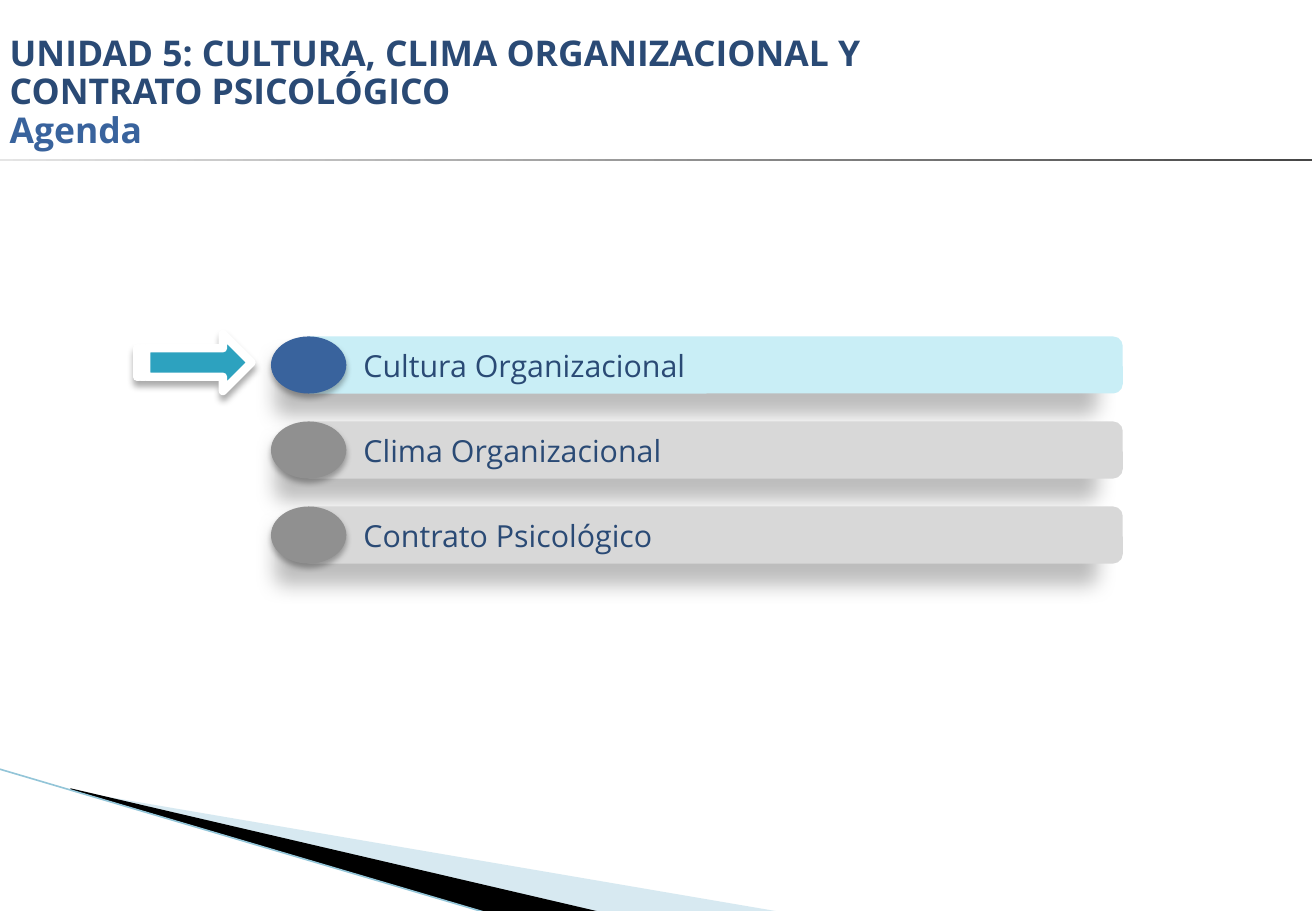
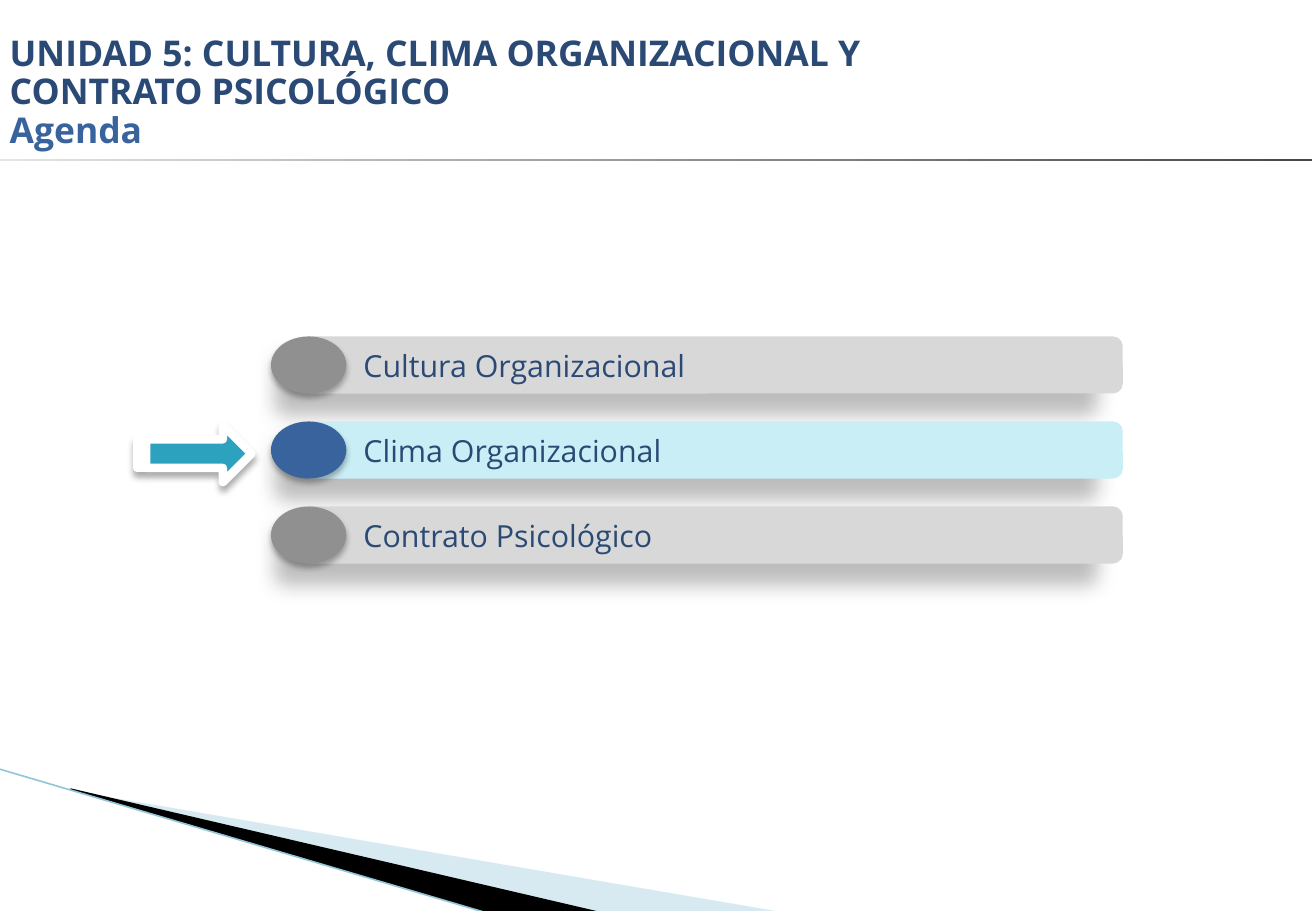
from lxml import etree
from pptx import Presentation
from pptx.dml.color import RGBColor
from pptx.enum.shapes import MSO_CONNECTOR, MSO_SHAPE
from pptx.enum.text import MSO_ANCHOR, MSO_AUTO_SIZE, PP_ALIGN
from pptx.oxml.ns import qn
from pptx.util import Inches, Pt

ROUND_RECT, OVAL, RECT = MSO_SHAPE.ROUNDED_RECTANGLE, MSO_SHAPE.OVAL, MSO_SHAPE.RECTANGLE
ARROW = MSO_SHAPE.STRIPED_RIGHT_ARROW
STRAIGHT = MSO_CONNECTOR.STRAIGHT
MIDDLE, LEFT, NO_FIT = MSO_ANCHOR.MIDDLE, PP_ALIGN.LEFT, MSO_AUTO_SIZE.NONE

# Content
UNIT = "UNIDAD 5: CULTURA, CLIMA ORGANIZACIONAL Y CONTRATO PSICOLÓGICO"
SECTION = "Agenda"
TOPICS = ["Cultura Organizacional", "Clima Organizacional", "Contrato Psicológico"]
SLIDES = [{"current": 0, "arrow_top": 2.75}, {"current": 1, "arrow_top": 3.5}]

# Style
FONT = "Open Sans"
NAVY, BLUE, TEAL, WHITE = "2A4A75", "39639D", "2DA2BF", "FFFFFF"
ACTIVE = {"bar": "C9EEF6", "dot": BLUE}
IDLE = {"bar": "D8D8D8", "dot": "909090"}
# Shadows: opacity %, blur pt, distance pt, direction in degrees
BAR_SHADOW, DOT_SHADOW, ARROW_SHADOW = (26, 11.8, 19.7, 141), (30, 3.5, 2.2, 90), (33, 4, 3, 90)
# Corner wedges: points, colour, opacity %
WEDGES = [
    ([(0.59, 6.51), (6.44, 7.51), (4.94, 7.51), (0.59, 6.5)], "9CCADC", 40),
    ([(0.58, 6.49), (4.95, 7.51), (4.03, 7.52), (0.58, 6.5)], "000000", 100),
]

# Agenda grid
ROW_TOP, ROW_STEP, ROW_H = 2.77, 0.7, 0.47
BAR_LEFT, BAR_W, DOT_LEFT, DOT_W = 2.47, 6.77, 2.23, 0.62


def rgb(color):
    return RGBColor.from_string(color)


def set_alpha(color_el, percent):
    etree.SubElement(color_el, qn("a:alpha")).set("val", str(percent * 1000))


def paint(sp, fill, line=None, line_width=0):
    sp.shadow.inherit = False
    sp.fill.solid()
    sp.fill.fore_color.rgb = rgb(fill)
    if line:
        sp.line.color.rgb = rgb(line)
        sp.line.width = Pt(line_width)
    else:
        sp.line.fill.background()


def cast_shadow(sp, opacity, blur, distance, angle):
    effects = sp._element.spPr.find(qn("a:effectLst"))
    shadow = etree.SubElement(effects, qn("a:outerShdw"), blurRad=str(Pt(blur)),
                              dist=str(Pt(distance)), dir=str(angle * 60000),
                              algn="ctr", rotWithShape="0")
    set_alpha(etree.SubElement(shadow, qn("a:srgbClr"), val="000000"), opacity)


def add_shape(slide, kind, left, top, width, height, fill, shadow, **line):
    sp = slide.shapes.add_shape(kind, Inches(left), Inches(top), Inches(width), Inches(height))
    paint(sp, fill, **line)
    cast_shadow(sp, *shadow)
    return sp


def write(p, text, size, color, bold=False, margin=0, indent=0, spacing=None):
    p.alignment = LEFT
    p.line_spacing = spacing
    pPr = p._p.get_or_add_pPr()
    pPr.set("marL", str(Inches(margin)))
    pPr.set("indent", str(Inches(indent)))
    r = p.add_run()
    r.text = text
    r.font.name, r.font.size, r.font.bold = FONT, Pt(size), bold
    r.font.color.rgb = rgb(color)


def set_frame(tf, left, top, right, bottom):
    tf.word_wrap, tf.auto_size, tf.vertical_anchor = True, NO_FIT, MIDDLE
    tf.margin_left, tf.margin_top = Inches(left), Inches(top)
    tf.margin_right, tf.margin_bottom = Inches(right), Inches(bottom)


def decorate_layout(layout, slide):
    """Draw the shared decoration and move it into the layout, behind its placeholders."""
    parts = []
    for points, color, opacity in WEDGES:
        corners = [(Inches(x), Inches(y)) for x, y in points]
        builder = slide.shapes.build_freeform(*corners[0])
        builder.add_line_segments(corners[1:], close=True)
        sp = builder.convert_to_shape()
        paint(sp, color)
        if opacity < 100:
            set_alpha(sp._element.spPr.find(qn("a:solidFill"))[0], opacity)
        parts.append(sp)

    edge = slide.shapes.add_connector(STRAIGHT, Inches(-0.01), Inches(6.33),
                                      Inches(4.02), Inches(7.52))
    edge.line.color.rgb = rgb("93C5D8")
    edge.line.width = Pt(0.95)
    etree.SubElement(edge._element.spPr, qn("a:effectLst"))
    parts.append(edge)

    rule = slide.shapes.add_shape(RECT, Inches(-0.03), Inches(1.31), Inches(10.83), Inches(0.02))
    rule.shadow.inherit = False
    rule.line.fill.background()
    rule.fill.gradient()
    rule.fill.gradient_angle = 0
    for stop, color in zip(rule.fill.gradient_stops, ("E5E5E5", "464646")):
        stop.color.rgb = rgb(color)
    parts.append(rule)

    for i, sp in enumerate(parts):
        sp._element.xpath(".//p:cNvPr")[0].set("id", str(100 + i))
        layout.shapes._spTree.insert(2 + i, sp._element)


def add_title(slide):
    title = slide.shapes.title
    title.left, title.top, title.width, title.height = 0, 0, Inches(7.56), Inches(1.3)
    tf = title.text_frame
    set_frame(tf, 0.08, 0.28, 0.08, 0.04)
    write(tf.paragraphs[0], UNIT, 21, NAVY, bold=True, spacing=0.9)
    write(tf.add_paragraph(), SECTION, 21, BLUE, bold=True, spacing=0.9,
          margin=0.78, indent=-0.78)


def add_agenda(slide, current, arrow_top):
    for i, topic in enumerate(TOPICS):
        look = ACTIVE if i == current else IDLE
        top = ROW_TOP + i * ROW_STEP
        bar = add_shape(slide, ROUND_RECT, BAR_LEFT, top, BAR_W, ROW_H, look["bar"], BAR_SHADOW)
        set_frame(bar.text_frame, 0.1, 0.05, 0.1, 0.05)
        write(bar.text_frame.paragraphs[0], topic, 18, NAVY, indent=0.4)
        add_shape(slide, OVAL, DOT_LEFT, top, DOT_W, ROW_H, look["dot"], DOT_SHADOW)
    add_shape(slide, ARROW, 1.13, arrow_top, 0.94, 0.47, TEAL, ARROW_SHADOW,
              line=WHITE, line_width=5)


def main():
    prs = Presentation()
    prs.slide_width, prs.slide_height = Inches(10.83), Inches(7.5)
    layout = prs.slide_layouts[5]
    for i, agenda in enumerate(SLIDES):
        slide = prs.slides.add_slide(layout)
        if i == 0:
            decorate_layout(layout, slide)
        add_title(slide)
        add_agenda(slide, **agenda)
    prs.save("out.pptx")


if __name__ == "__main__":
    main()
